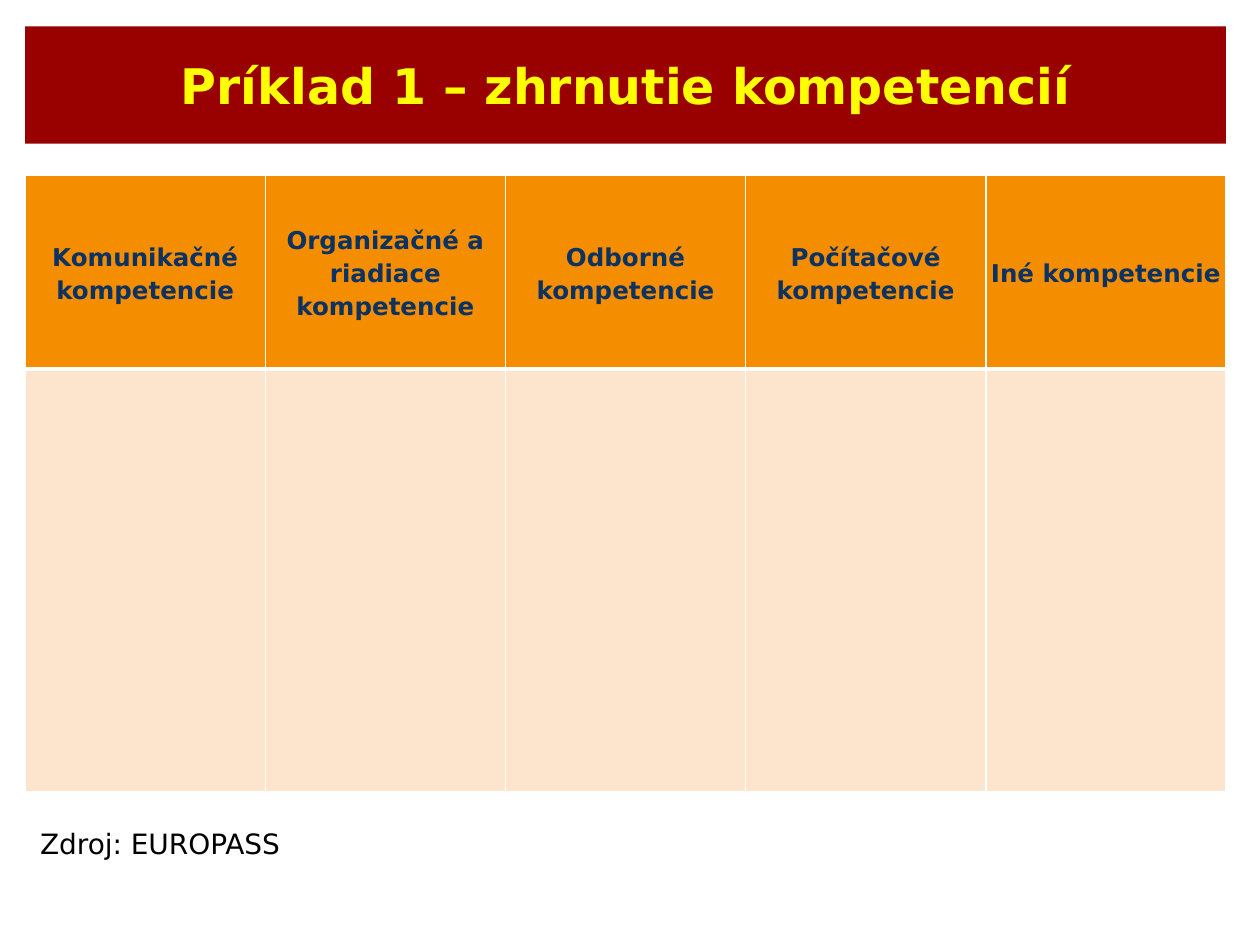
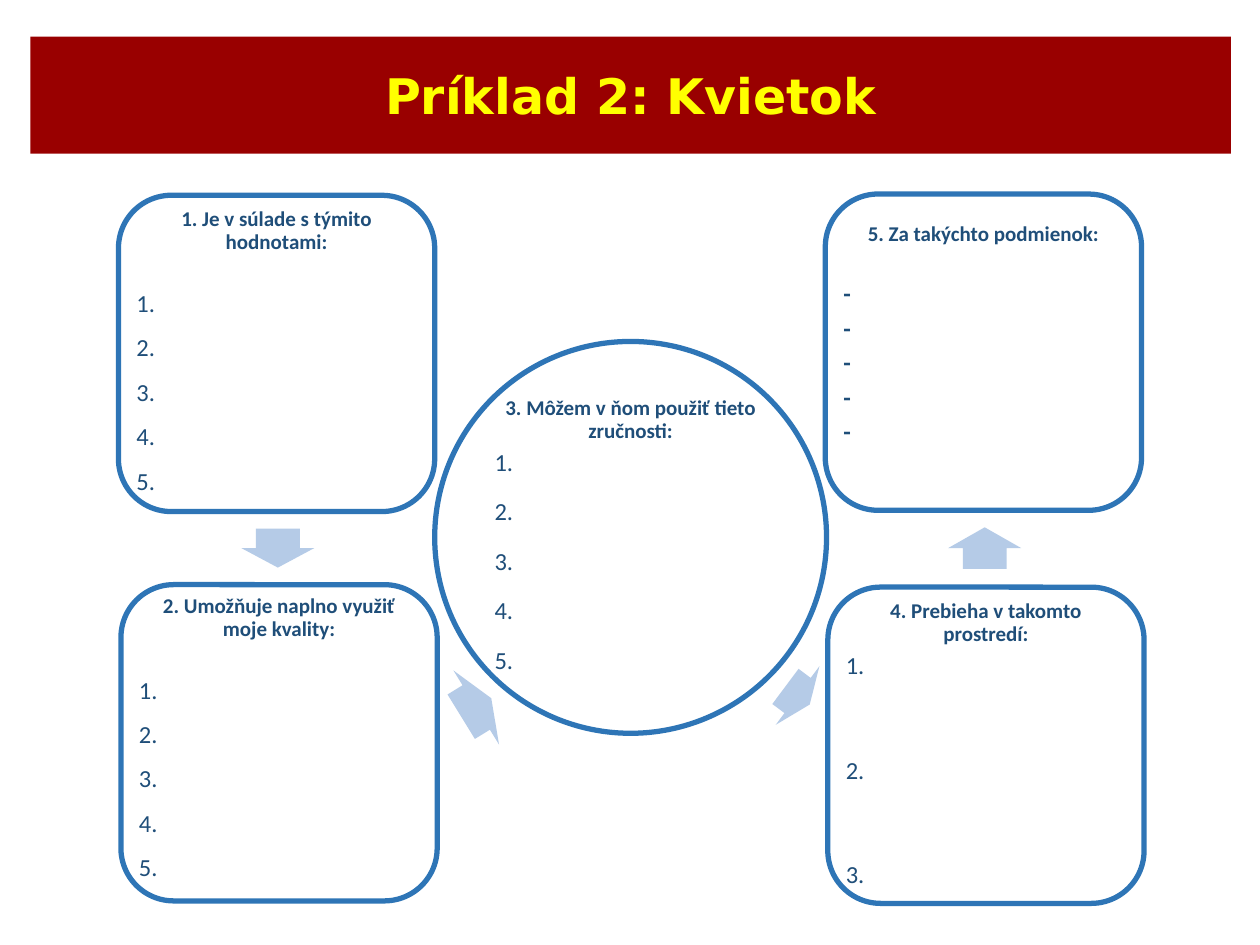
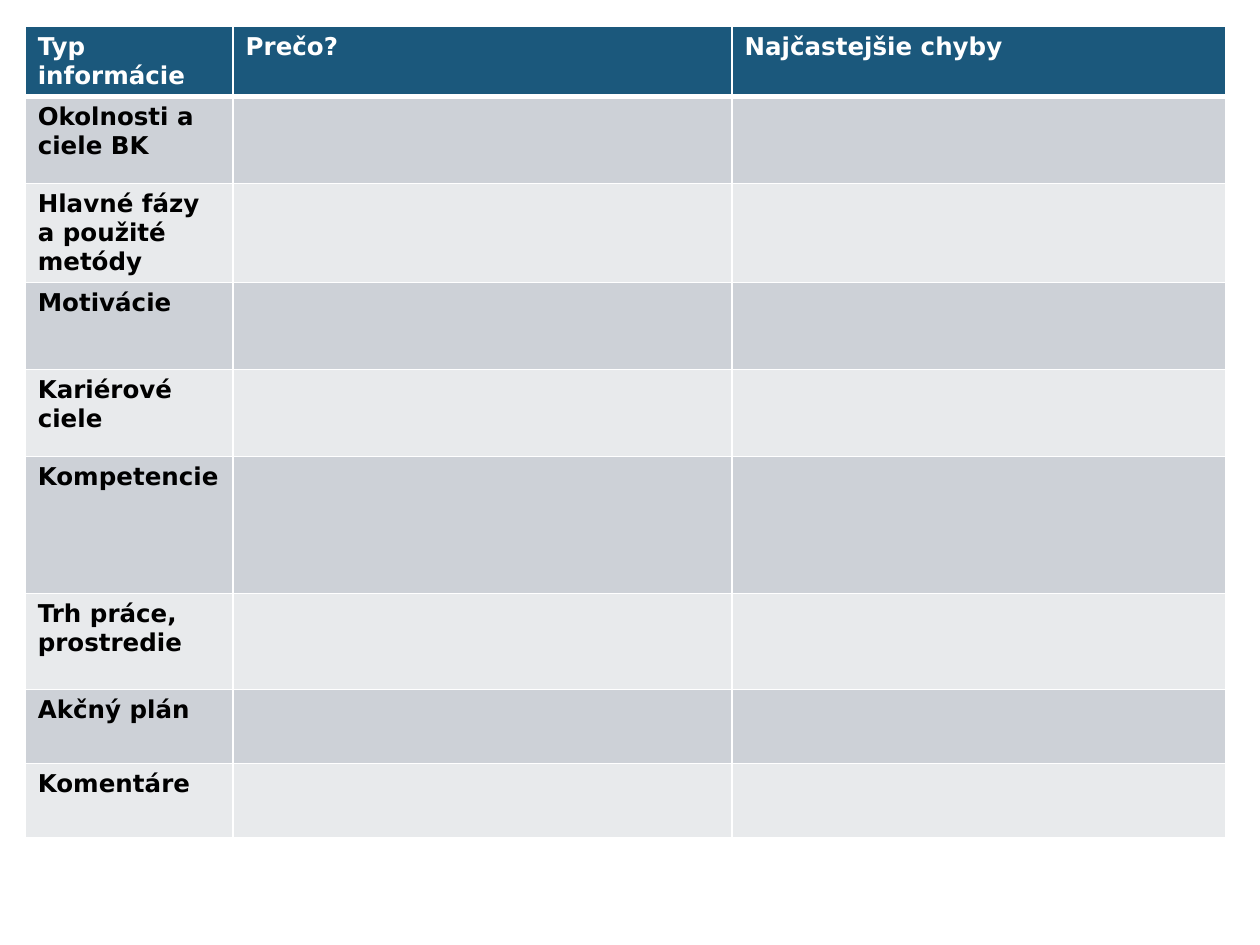
from lxml.etree import SubElement
from pptx import Presentation
from pptx.dml.color import RGBColor
from pptx.enum.shapes import MSO_SHAPE as Shape
from pptx.enum.text import MSO_ANCHOR as Anchor, PP_ALIGN as Align
from pptx.oxml.ns import qn
from pptx.util import Inches, Pt

WHITE = RGBColor(0xFF, 0xFF, 0xFF)
BLACK = RGBColor(0x00, 0x00, 0x00)
BAND_RED = RGBColor(0x99, 0x00, 0x00)
TITLE_YELLOW = RGBColor(0xFF, 0xFF, 0x00)
HEADER_ORANGE = RGBColor(0xF5, 0x8D, 0x01)
BODY_PEACH = RGBColor(0xFD, 0xE5, 0xCD)
HEADER_NAVY = RGBColor(0x0B, 0x32, 0x61)
PETAL_BLUE = RGBColor(0x2E, 0x75, 0xB6)
PETAL_TEXT = RGBColor(0x1F, 0x4E, 0x79)
ARROW_BLUE = RGBColor(0xB5, 0xCB, 0xE7)
HEADER_TEAL = RGBColor(0x1B, 0x58, 0x7C)
ROW_DARK = RGBColor(0xCD, 0xD1, 0xD7)
ROW_LIGHT = RGBColor(0xE8, 0xEA, 0xEC)

MAIN_FONT = "DejaVu Sans"
TITLE_STYLE = {"name": MAIN_FONT, "size": Pt(28), "bold": True}
SOURCE_STYLE = {"name": MAIN_FONT, "size": Pt(16)}
TABLE_STYLE = {"name": MAIN_FONT, "size": Pt(14), "bold": True}
PETAL_HEAD = {"name": "Calibri", "size": Pt(12), "bold": True}
PETAL_ITEM = {"name": "Calibri", "size": Pt(14), "bold": False}

LEFT, TOP, WIDTH, BAND_HEIGHT = 0.2, 0.21, 9.53, 0.93
TITLE_ONLY, BLANK = 5, 6

COMPETENCES = [
    "Komunikačné kompetencie",
    "Organizačné a riadiace kompetencie",
    "Odborné kompetencie",
    "Počítačové kompetencie",
    "Iné kompetencie",
]
COMPETENCE_ROWS = [1.54, 3.35]
SOURCE = "Zdroj: EUROPASS"

NUMBERS = ["1.", "2.", "3.", "4.", "5."]
PETAL_SIZE, CENTRE_SIZE = 2.51, 3.11
# shape, left, top, size, heading, items, points before first item, points between items, bottom inset
PETALS = [
    (Shape.ROUNDED_RECTANGLE, 6.55, 1.54, PETAL_SIZE, "5. Za takýchto podmienok:", ["-"] * 5, 20.6, 4.6, 0.3),
    (Shape.ROUNDED_RECTANGLE, 6.57, 4.66, PETAL_SIZE, "4. Prebieha v takomto prostredí:", NUMBERS[:3], 4.4, 44.6, 0.03),
    (Shape.OVAL, 3.45, 2.71, CENTRE_SIZE, "3. Môžem v ňom použiť tieto zručnosti:", NUMBERS, 4.2, 13.2, 0.04),
    (Shape.ROUNDED_RECTANGLE, 0.96, 4.64, PETAL_SIZE, "2. Umožňuje naplno využiť moje kvality:", NUMBERS, 21, 10.3, 0.08),
    (Shape.ROUNDED_RECTANGLE, 0.94, 1.55, PETAL_SIZE, "1. Je v súlade s týmito hodnotami:", NUMBERS, 21, 10.3, 0.04),
]
# left, top, width, height, rotation
ARROWS = [
    (7.65, 4.06, 0.33, 0.58, 270),
    (6.21, 5.23, 0.24, 0.58, 36.7),
    (3.64, 5.27, 0.28, 0.69, 328.4),
    (2.05, 4.06, 0.31, 0.58, 90),
]

INFO_HEADER = ["Typ informácie", "Prečo?", "Najčastejšie chyby"]
INFO_COLUMNS = [1.65, 3.96, 3.92]
INFO_HEADER_HEIGHT = 0.49
INFO_ROWS = [
    ("Okolnosti a ciele BK", 0.69),
    ("Hlavné fázy a použité metódy", 0.69),
    ("Motivácie", 0.69),
    ("Kariérové ciele", 0.69),
    ("Kompetencie", 1.09),
    ("Trh práce, prostredie", 0.76),
    ("Akčný plán", 0.59),
    ("Komentáre", 0.59),
]


def write(para, text, style, color):
    span = para.add_run()
    span.text = text
    for name, value in style.items():
        setattr(span.font, name, value)
    span.font.color.rgb = color


def set_insets(frame, left, top, right, bottom):
    for side, inset in zip(("left", "top", "right", "bottom"), (left, top, right, bottom)):
        setattr(frame, f"margin_{side}", Inches(inset))


def add_title(slide, text, left, top):
    band = slide.shapes.title
    band.left, band.top = Inches(left), Inches(top)
    band.width, band.height = Inches(WIDTH), Inches(BAND_HEIGHT)
    band.fill.solid()
    band.fill.fore_color.rgb = BAND_RED
    band.text_frame.vertical_anchor = Anchor.MIDDLE
    para = band.text_frame.paragraphs[0]
    para.alignment = Align.CENTER
    write(para, text, TITLE_STYLE, TITLE_YELLOW)


def set_borders(cell, row):
    """White one-point grid, with a three-point rule below the header row."""
    points = {"lnL": 1, "lnR": 1, "lnT": 3 if row == 1 else 1, "lnB": 3 if row == 0 else 1}
    properties = cell._tc.get_or_add_tcPr()
    for tag, width in points.items():
        line = SubElement(properties, qn(f"a:{tag}"), w=str(Pt(width)))
        fill = SubElement(line, qn("a:solidFill"))
        SubElement(fill, qn("a:srgbClr"), val=str(WHITE))


def add_grid(slide, top, columns, heights, fills):
    """Add a bordered table with one fill colour for each row."""
    frame = slide.shapes.add_table(
        len(heights), len(columns), Inches(LEFT), Inches(top), Inches(WIDTH), Inches(sum(heights)))
    table = frame.table
    table.horz_banding = False
    for column, width in zip(table.columns, columns):
        column.width = Inches(width)
    for index, (row, height, color) in enumerate(zip(table.rows, heights, fills)):
        row.height = Inches(height)
        for cell in row.cells:
            set_borders(cell, index)
            cell.fill.solid()
            cell.fill.fore_color.rgb = color
    return table


def add_petal(slide, kind, left, top, size, heading, items, first_gap, gap, bottom):
    petal = slide.shapes.add_shape(kind, Inches(left), Inches(top), Inches(size), Inches(size))
    petal.shadow.inherit = False
    petal.fill.background()
    petal.line.color.rgb = PETAL_BLUE
    petal.line.width = Pt(3)
    frame = petal.text_frame
    frame.word_wrap = True
    frame.vertical_anchor = Anchor.MIDDLE
    set_insets(frame, 0.02, 0.02, 0.02, bottom)
    para = frame.paragraphs[0]
    para.alignment = Align.CENTER
    para.line_spacing = 0.9
    write(para, heading, PETAL_HEAD, PETAL_TEXT)
    for index, item in enumerate(items):
        para = frame.add_paragraph()
        para.alignment = Align.LEFT
        para.line_spacing = 0.9
        para.space_before = Pt(gap if index else first_gap)
        write(para, item, {**PETAL_ITEM, "bold": item == "-"}, PETAL_TEXT)


def add_arrow(slide, left, top, width, height, rotation):
    arrow = slide.shapes.add_shape(
        Shape.RIGHT_ARROW, Inches(left), Inches(top), Inches(width), Inches(height))
    arrow.adjustments[0], arrow.adjustments[1] = 0.6, 0.5
    arrow.rotation = rotation
    arrow.shadow.inherit = False
    arrow.fill.solid()
    arrow.fill.fore_color.rgb = ARROW_BLUE
    arrow.line.fill.background()


def build_competences(slide):
    add_title(slide, "Príklad 1 – zhrnutie kompetencií", LEFT, TOP)
    columns = [WIDTH / len(COMPETENCES)] * len(COMPETENCES)
    table = add_grid(slide, 1.39, columns, COMPETENCE_ROWS, [HEADER_ORANGE, BODY_PEACH])
    for cell, text in zip(table.rows[0].cells, COMPETENCES):
        cell.vertical_anchor = Anchor.MIDDLE
        set_insets(cell, 0, 0, 0, 0)
        para = cell.text_frame.paragraphs[0]
        para.alignment = Align.CENTER
        para.line_spacing = 1.15
        write(para, text, TABLE_STYLE, HEADER_NAVY)
    box = slide.shapes.add_textbox(Inches(0.22), Inches(6.51), Inches(2.22), Inches(0.37))
    box.text_frame.word_wrap = False
    write(box.text_frame.paragraphs[0], SOURCE, SOURCE_STYLE, BLACK)


def build_flower(slide):
    add_title(slide, "Príklad 2: Kvietok", 0.24, 0.29)
    for petal in PETALS:
        add_petal(slide, *petal)
    for arrow in ARROWS:
        add_arrow(slide, *arrow)


def build_information(slide):
    heights = [INFO_HEADER_HEIGHT] + [height for _, height in INFO_ROWS]
    fills = [HEADER_TEAL] + [ROW_LIGHT if index % 2 else ROW_DARK for index in range(len(INFO_ROWS))]
    table = add_grid(slide, TOP, INFO_COLUMNS, heights, fills)
    for cell, text in zip(table.rows[0].cells, INFO_HEADER):
        write(cell.text_frame.paragraphs[0], text, TABLE_STYLE, WHITE)
    for index, (text, _) in enumerate(INFO_ROWS, start=1):
        write(table.cell(index, 0).text_frame.paragraphs[0], text, TABLE_STYLE, BLACK)


def main():
    deck = Presentation()
    deck.slide_width, deck.slide_height = Inches(10), Inches(7.5)
    for layout, build in (
        (TITLE_ONLY, build_competences),
        (TITLE_ONLY, build_flower),
        (BLANK, build_information),
    ):
        build(deck.slides.add_slide(deck.slide_layouts[layout]))
    deck.save("out.pptx")


if __name__ == "__main__":
    main()
